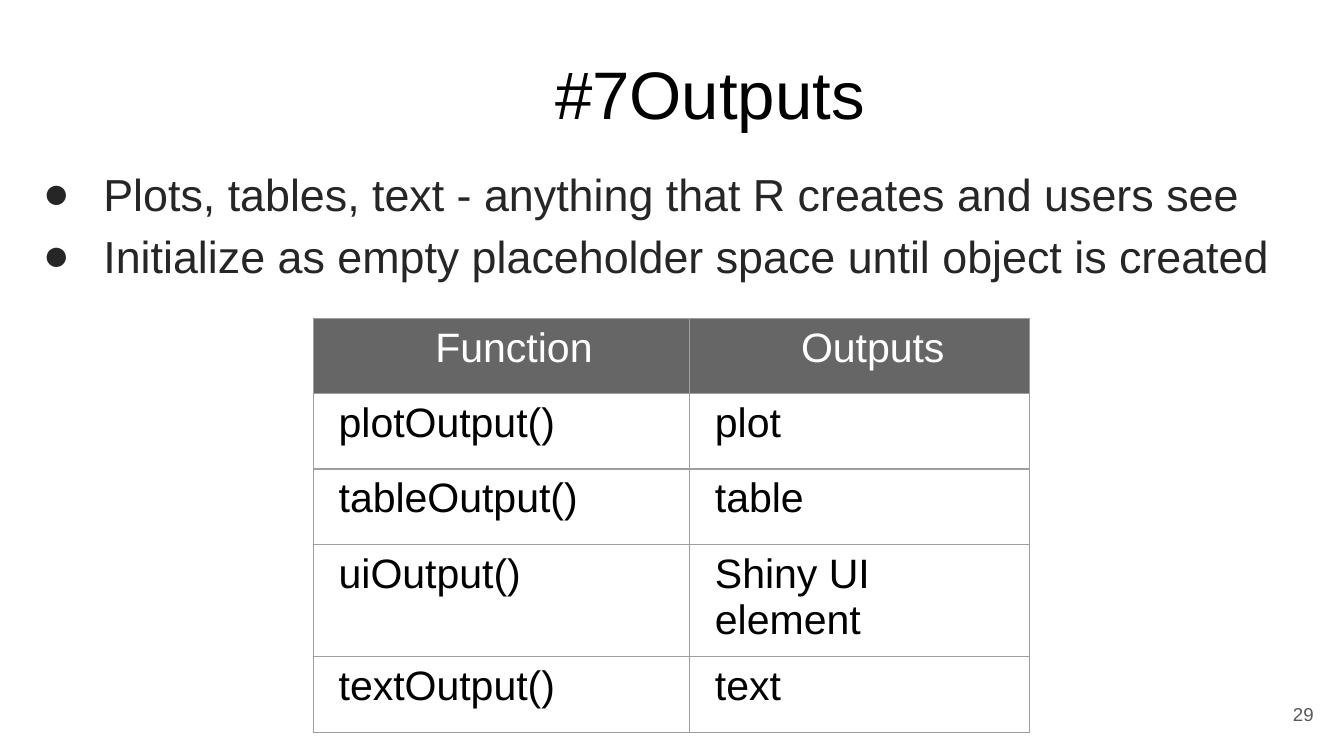
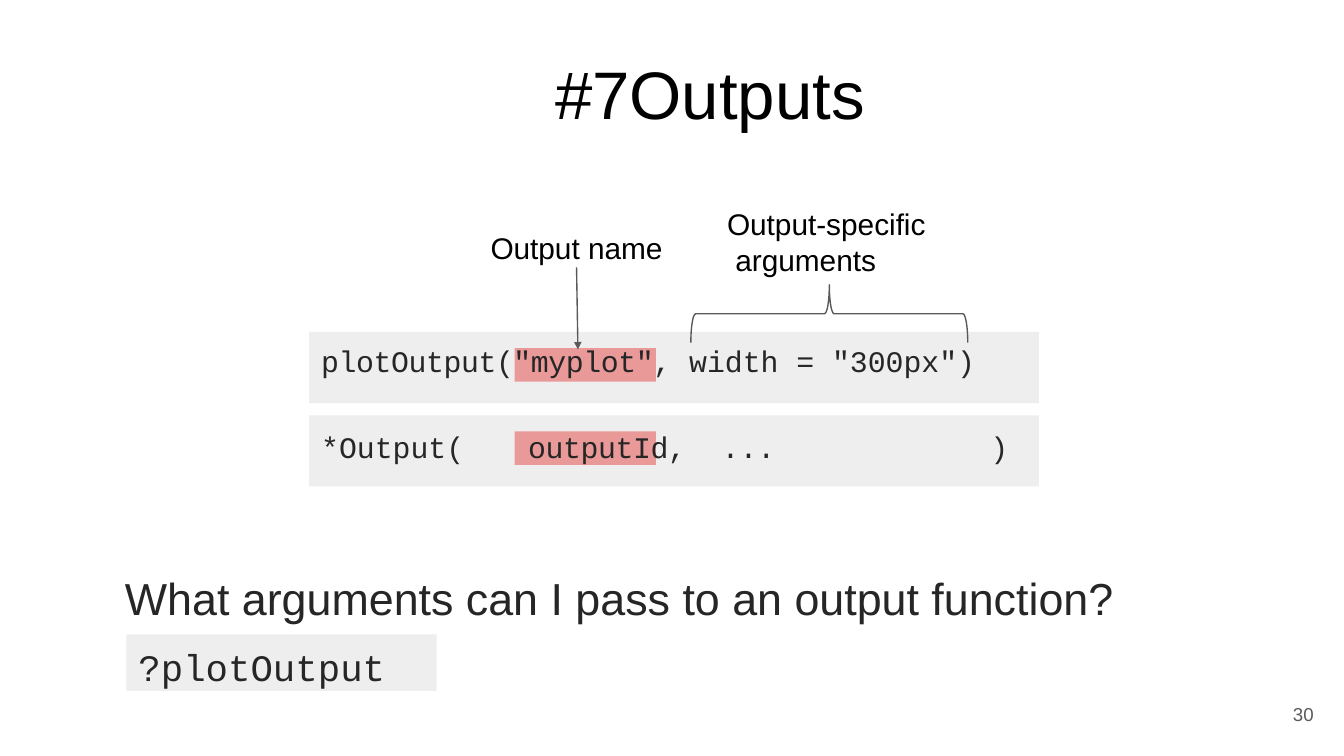
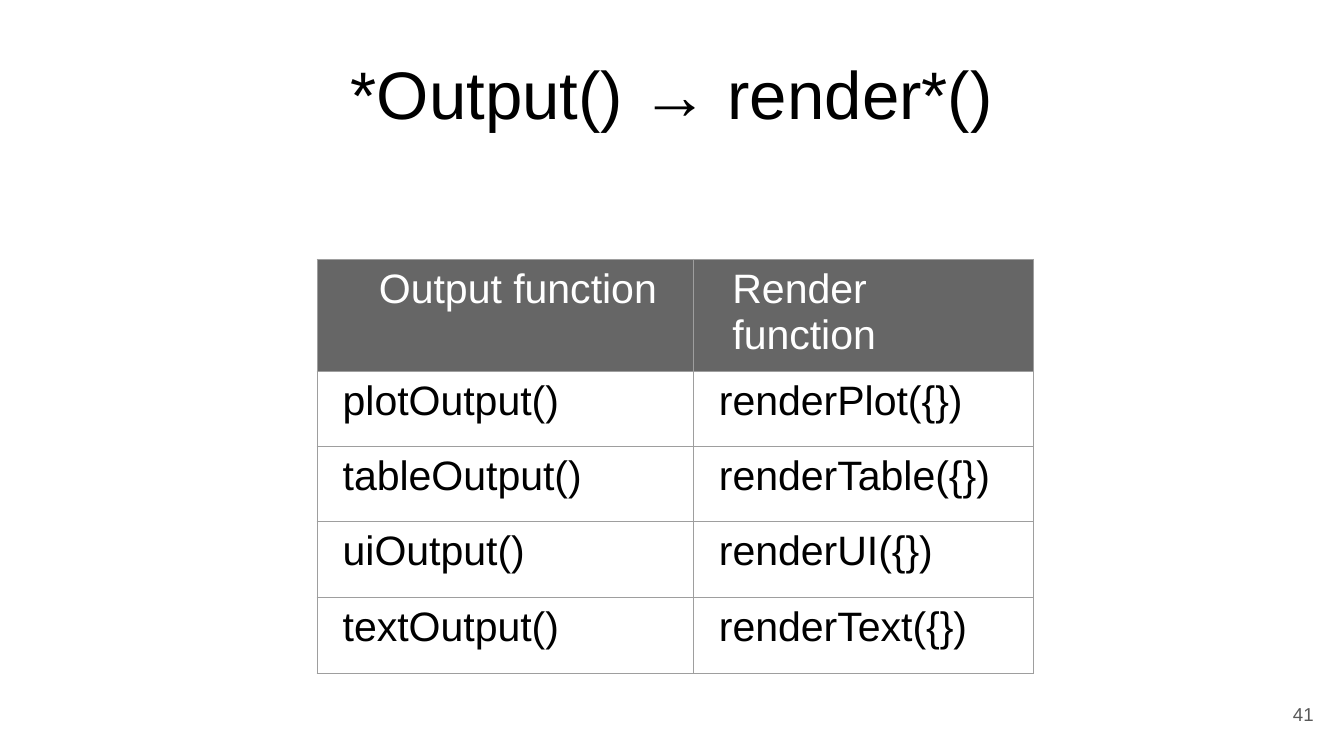
from pptx import Presentation
from pptx.dml.color import RGBColor
from pptx.enum.shapes import MSO_CONNECTOR, MSO_SHAPE
from pptx.enum.text import MSO_ANCHOR, PP_ALIGN
from pptx.oxml.ns import qn
from pptx.util import Inches, Pt
from lxml.etree import SubElement

COLORS = {
    "ink": "000000",
    "body": "262626",
    "muted": "595959",
    "white": "FFFFFF",
    "header": "666666",
    "border": "9E9E9E",
    "panel": "EEEEEE",
    "highlight": "EA9999",
}
SANS, MONO = "Arial", "Courier New"


def color(name):
    return RGBColor.from_string(COLORS[name])


class Deck:
    def __init__(self):
        self.presentation = Presentation()
        self.presentation.slide_width = Inches(10)
        self.presentation.slide_height = Inches(10) * 9 // 16
        self.slide = None

    def add_slide(self, title, number, title_left=4.12, title_width=2.4):
        layout = self.presentation.slide_layouts[6]
        self.slide = self.presentation.slides.add_slide(layout)
        self.text([title], title_left, 0.38, title_width, 0.95, 36)
        self.text([str(number)], 9.59, 5.23, 0.21, 0.2, 10, "muted", (0.03, 0))

    def style(self, paragraph, size, ink, font=SANS):
        paragraph.font.name = font
        paragraph.font.size = Pt(size)
        paragraph.font.bold = False
        paragraph.font.color.rgb = color(ink)

    def add_bullet(self, paragraph):
        properties = paragraph._p.get_or_add_pPr()
        properties.set("marL", str(Inches(0.46)))
        properties.set("indent", str(Inches(-0.45)))
        bullet_color = SubElement(properties, qn("a:buClr"))
        SubElement(bullet_color, qn("a:srgbClr"), val=COLORS["body"])
        SubElement(properties, qn("a:buFont"), typeface=SANS)
        SubElement(properties, qn("a:buChar"), char="●")

    def add_tabs(self, paragraph, stops):
        tab_list = SubElement(paragraph._p.get_or_add_pPr(), qn("a:tabLst"))
        for stop in stops:
            SubElement(tab_list, qn("a:tab"), pos=str(Inches(stop)), algn="l")

    def frame(self, shape, inset):
        frame = shape.text_frame
        frame.word_wrap = True
        frame.vertical_anchor = MSO_ANCHOR.TOP
        frame.margin_left, frame.margin_top = (Inches(length) for length in inset)
        frame.margin_right = frame.margin_bottom = 0
        return frame

    def box(self, left, top, width, height):
        return self.slide.shapes.add_textbox(
            Inches(left), Inches(top), Inches(width), Inches(height))

    def text(self, lines, left, top, width, height, size, ink="ink",
             inset=(0.01, 0.01), bulleted=False):
        frame = self.frame(self.box(left, top, width, height), inset)
        for index, line in enumerate(lines):
            paragraph = frame.paragraphs[0] if index == 0 else frame.add_paragraph()
            paragraph.text = line
            if index:
                paragraph.space_before = Pt(4.2)
            if bulleted:
                self.add_bullet(paragraph)
            self.style(paragraph, size, ink)

    def code(self, lines, left, top, width, height, gap, stops):
        frame = self.frame(self.box(left, top, width, height), (0.09, 0.01))
        for index, runs in enumerate(lines):
            paragraph = frame.paragraphs[0] if index == 0 else frame.add_paragraph()
            for content, spacing in runs:
                run = paragraph.add_run()
                run.text = content
                run._r.get_or_add_rPr().set("spc", str(spacing))
            if index:
                paragraph.space_before = Pt(gap)
                self.add_tabs(paragraph, stops)
            self.style(paragraph, 16, "body", MONO)

    def panel(self, left, top, width, height, fill="panel"):
        shape = self.slide.shapes.add_shape(
            MSO_SHAPE.RECTANGLE, Inches(left), Inches(top), Inches(width), Inches(height))
        shape.shadow.inherit = False
        shape.fill.solid()
        shape.fill.fore_color.rgb = color(fill)
        shape.line.fill.background()
        return shape

    def command(self, content, left, top, width, height):
        shape = self.panel(left, top, width, height)
        paragraph = self.frame(shape, (0.09, 0.07)).paragraphs[0]
        paragraph.text = content
        paragraph.alignment = PP_ALIGN.LEFT
        self.style(paragraph, 20, "body", MONO)

    def brace_above(self, left, top, width, height):
        center_x, center_y = left + width / 2, top + height / 2
        shape = self.slide.shapes.add_shape(
            MSO_SHAPE.LEFT_BRACE, Inches(center_x - height / 2),
            Inches(center_y - width / 2), Inches(height), Inches(width))
        shape.rotation = 90
        shape.shadow.inherit = False
        shape.fill.background()
        self.outline(shape)

    def arrow(self, start_x, start_y, end_x, end_y):
        connector = self.slide.shapes.add_connector(
            MSO_CONNECTOR.STRAIGHT, Inches(start_x), Inches(start_y),
            Inches(end_x), Inches(end_y))
        self.outline(connector)
        SubElement(connector.line._get_or_add_ln(), qn("a:tailEnd"),
                   type="triangle", w="sm", len="sm")
        SubElement(connector._element.spPr, qn("a:effectLst"))

    def outline(self, shape):
        shape.line.color.rgb = color("muted")
        shape.line.width = Pt(0.75)

    def table(self, rows, left, top, header_indents):
        widths, heights = (2.8, 2.53), (0.56, 0.56, 0.56, 0.56, 0.57)
        table = self.slide.shapes.add_table(
            len(rows), len(widths), Inches(left), Inches(top),
            Inches(sum(widths)), Inches(sum(heights))).table
        table.horz_banding = False
        for column, width in zip(table.columns, widths):
            column.width = Inches(width)
        for index, (row, height) in enumerate(zip(rows, heights)):
            table.rows[index].height = Inches(height)
            indents = (0.09, 0.09) if index else header_indents
            for position, (content, indent) in enumerate(zip(row, indents)):
                self.cell(table.cell(index, position), content, indent, index == 0)

    def cell(self, cell, content, indent, is_header):
        cell.margin_left = Inches(0.1 + indent)
        cell.margin_top = cell.margin_bottom = Inches(0.05)
        properties = cell._tc.get_or_add_tcPr()
        for side in ("lnL", "lnR", "lnT", "lnB"):
            line = SubElement(properties, qn(f"a:{side}"), w=str(Pt(0.75)))
            fill = SubElement(line, qn("a:solidFill"))
            SubElement(fill, qn("a:srgbClr"), val=COLORS["border"])
        if is_header:
            cell.fill.solid()
            cell.fill.fore_color.rgb = color("header")
        else:
            cell.fill.background()
        paragraph = cell.text_frame.paragraphs[0]
        paragraph.text = content
        self.style(paragraph, 22, "white" if is_header else "ink")


def outputs_slide(deck):
    deck.add_slide("#7Outputs", 29)
    deck.text([
        "Plots, tables, text - anything that R creates and users see",
        "Initialize as empty placeholder space until object is created",
    ], 0.31, 1.17, 9.2, 0.93, 24, "body", (0, 0.07), bulleted=True)
    deck.table([
        ("Function", "Outputs"),
        ("plotOutput()", "plot"),
        ("tableOutput()", "table"),
        ("uiOutput()", "Shiny UI element"),
        ("textOutput()", "text"),
    ], 2.33, 2.37, (0.81, 0.73))


def arguments_slide(deck):
    deck.add_slide("#7Outputs", 30)
    for top in (2.47, 3.09):
        deck.panel(2.3, top, 5.43, 0.53)
        deck.panel(3.83, top + 0.12, 1.05, 0.25, "highlight")
    deck.arrow(4.29, 1.99, 4.3, 2.6)
    deck.text(["Output name"], 3.64, 1.7, 1.4, 0.28, 16)
    deck.brace_above(5.14, 2.12, 2.06, 0.43)
    deck.text(["Output-specific\v arguments"], 5.4, 1.52, 1.5, 0.55, 16)
    deck.command("?plotOutput", 0.94, 4.72, 2.31, 0.42)
    deck.text(["What arguments can I pass to an output function?"],
              0.92, 4.24, 7.45, 0.41, 24, "body")
    deck.code([
        [('plotOutput("myplot", ', -20), ('width = "300px")', 0)],
        [("*Output(\t", 0), ("outputId,\t", -20), ("...\t)", 0)],
    ], 2.3, 2.54, 5.43, 0.92, 27, (1.54, 2.98, 4.98))


def render_slide(deck):
    deck.add_slide("*Output() → render*()", 41, 2.6, 4.85)
    deck.table([
        ("Output function", "Render function"),
        ("plotOutput()", "renderPlot({})"),
        ("tableOutput()", "renderTable({})"),
        ("uiOutput()", "renderUI({})"),
        ("textOutput()", "renderText({})"),
    ], 2.36, 1.93, (0.36, 0.19))


def main():
    deck = Deck()
    outputs_slide(deck)
    arguments_slide(deck)
    render_slide(deck)
    deck.presentation.save("out.pptx")


if __name__ == "__main__":
    main()
